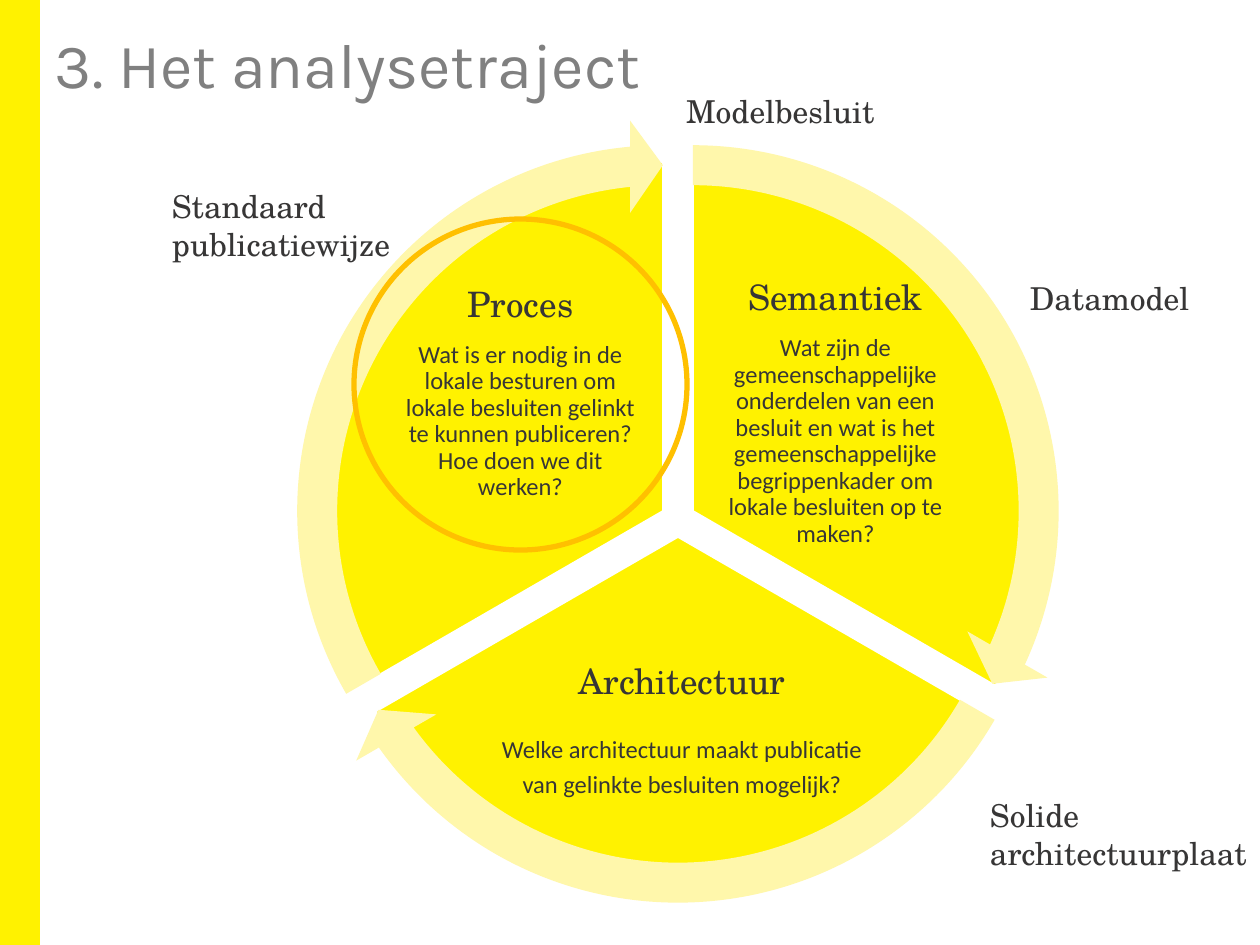
from pptx import Presentation
from pptx.dml.color import RGBColor
from pptx.enum.shapes import MSO_SHAPE
from pptx.enum.text import MSO_ANCHOR, PP_ALIGN
from pptx.util import Inches, Pt

PX_PER_INCH = 126
RECT, PIE, ARROW, OVAL = (MSO_SHAPE.RECTANGLE, MSO_SHAPE.PIE,
                          MSO_SHAPE.CIRCULAR_ARROW, MSO_SHAPE.OVAL)
LEFT, CENTER = PP_ALIGN.LEFT, PP_ALIGN.CENTER
TOP, MIDDLE = MSO_ANCHOR.TOP, MSO_ANCHOR.MIDDLE
SERIF, SANS, TITLE = "TeX Gyre Schola", "Calibri", "Karla"
COLORS = {"yellow": "FFF200", "pale": "FFF7AB", "white": "FFFFFF",
          "orange": "FFC000", "grey": "808080", "ink": "373636"}
PIE_RADIUS, ARROW_RADIUS = 349, 392
SECTOR, ARROW_SWEEP = 120, 114.54


def px(value):
    return Inches(value / PX_PER_INCH)


def color(name):
    return RGBColor.from_string(COLORS[name])


def angle(degrees):
    """Angle as an adjustment value (60000 units a degree, scaled by 100000)."""
    return degrees % 360 * 0.6


def write(paragraph, text, *, size, font=SERIF, ink="ink", align=LEFT,
          spacing=1.0, after=0):
    paragraph.alignment = align
    paragraph.line_spacing = spacing
    paragraph.space_after = Pt(after)
    run = paragraph.add_run()
    run.text = text
    run.font.size = Pt(size)
    run.font.name = font
    run.font.color.rgb = color(ink)


class SlideBuilder:
    def __init__(self, slide):
        self.slide = slide

    def shape(self, kind, box, fill=None, line=None, width=1, adjust=()):
        shape = self.slide.shapes.add_shape(kind, *map(px, box))
        shape.shadow.inherit = False
        for index, value in enumerate(adjust):
            shape.adjustments[index] = value
        if fill:
            shape.fill.solid()
            shape.fill.fore_color.rgb = color(fill)
        else:
            shape.fill.background()
        if line:
            shape.line.color.rgb = color(line)
            shape.line.width = Pt(width)
        else:
            shape.line.fill.background()

    def circle(self, kind, center, radius, **style):
        x, y = center
        self.shape(kind, (x - radius, y - radius, 2 * radius, 2 * radius), **style)

    def frame(self, box, inset=(13, 6), anchor=TOP):
        frame = self.slide.shapes.add_textbox(*map(px, box)).text_frame
        frame.word_wrap = True
        frame.vertical_anchor = anchor
        frame.margin_left = frame.margin_right = px(inset[0])
        frame.margin_top = frame.margin_bottom = px(inset[1])
        return frame

    def label(self, box, text, inset=(13, 6), **style):
        write(self.frame(box, inset).paragraphs[0], text, **style)

    def question(self, box, heading, body, gap, spacing):
        frame = self.frame(box, (4, 4), MIDDLE)
        write(frame.paragraphs[0], heading, size=20, align=CENTER,
              spacing=0.9, after=gap)
        write(frame.add_paragraph(), body, size=14, font=SANS, align=CENTER,
              spacing=spacing)


# Sector: centre, start angle, text box, heading, question, gap, line spacing
SECTORS = [
    ((693, 511), 270, (711, 310, 249, 208), "Semantiek",
     "Wat zijn de gemeenschappelijke onderdelen van een besluit en wat is het "
     "gemeenschappelijke begrippenkader om lokale besluiten op te maken?", 10, 0.9),
    ((678, 537), 30, (495, 640, 374, 183), "Architectuur",
     "Welke architectuur maakt publicatie van gelinkte besluiten mogelijk?", 15, 1.2),
    ((663, 511), 150, (396, 290, 249, 208), "Proces",
     "Wat is er nodig in de lokale besturen om lokale besluiten gelinkt te "
     "kunnen publiceren? Hoe doen we dit werken?", 10, 0.9),
]
RESULTS = [
    ((1017, 273, 258, 50), "Datamodel"),
    ((977, 790, 284, 89), "Solide architectuurplaat"),
    ((159, 181, 258, 89), "Standaard publicatiewijze"),
    ((673, 86, 258, 50), "Modelbesluit"),
]


def main():
    deck = Presentation()
    deck.slide_width, deck.slide_height = Inches(10), Inches(7.5)
    builder = SlideBuilder(deck.slides.add_slide(deck.slide_layouts[6]))

    # Side band and title
    builder.shape(RECT, (0, 0, 39, 945), fill="yellow", line="yellow")
    builder.label((55, 26, 1110, 208), "3. Het analysetraject", inset=(0, 0),
                  size=36, font=TITLE, ink="grey")

    # Three sectors with their questions
    for center, start, box, heading, body, gap, spacing in SECTORS:
        builder.circle(PIE, center, PIE_RADIUS, fill="yellow", line="white",
                       adjust=(angle(start), angle(start + SECTOR)))
        builder.question(box, heading, body, gap, spacing)

    # Arrows around the sectors
    for center, start, *_ in SECTORS:
        builder.circle(ARROW, center, ARROW_RADIUS, fill="pale",
                       adjust=(0.051, 3.275, angle(start + ARROW_SWEEP),
                               angle(start), 0.059))

    # Results around the wheel
    for box, text in RESULTS:
        builder.label(box, text, size=18)

    # Highlight on the process sector
    builder.shape(OVAL, (354, 219, 333, 331), line="orange", width=3)

    deck.save("out.pptx")


if __name__ == "__main__":
    main()
